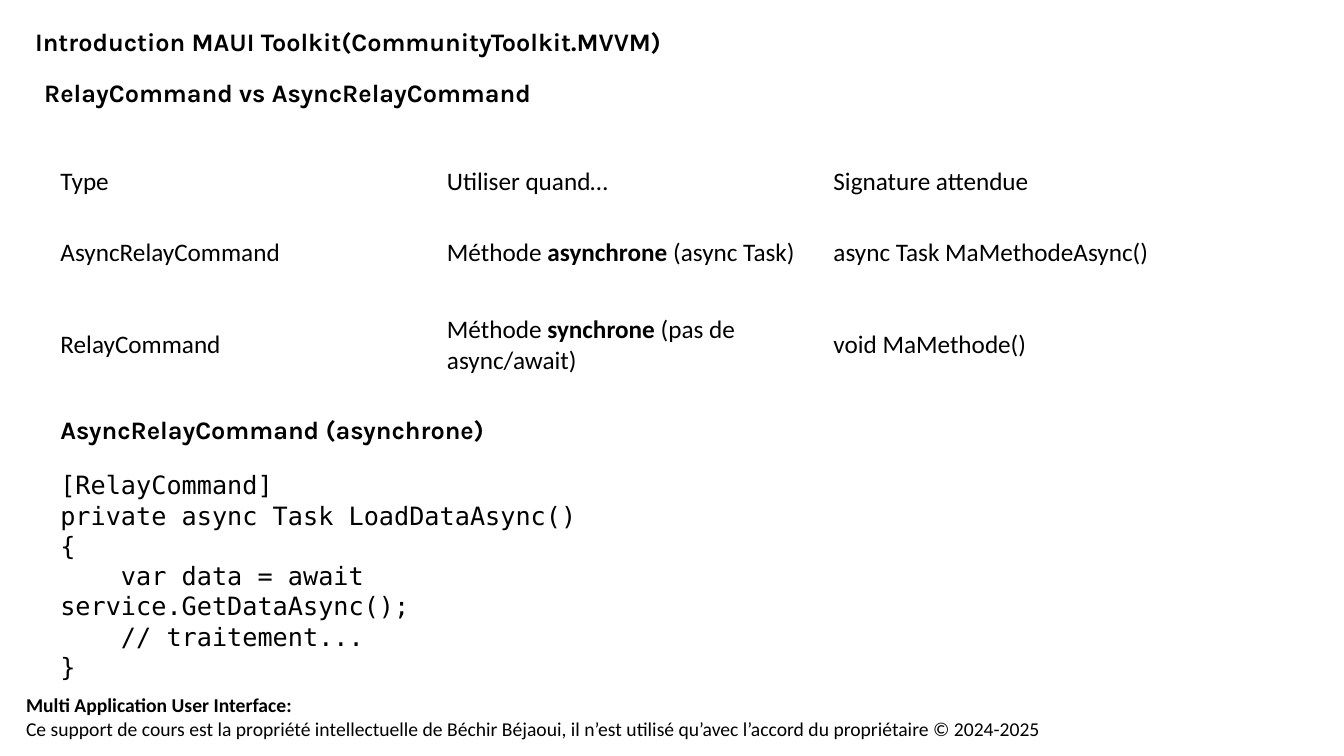
from pptx import Presentation
from pptx.dml.color import RGBColor
from pptx.enum.text import MSO_ANCHOR, MSO_AUTO_SIZE
from pptx.util import Inches, Pt

COLORS = {"ink": "000000"}
BODY, HEADING, CODE = "Calibri", "Karla", "DejaVu Sans Mono"

# Each paragraph is a list of (text, bold) runs.
FOOTER = [
    [("Multi Application User Interface:", True)],
    [("Ce support de cours est la propriété intellectuelle de Béchir Béjaoui, "
      "il n’est utilisé qu’avec l’accord du propriétaire © 2024-2025", False)],
]
TITLE = "Introduction MAUI Toolkit(CommunityToolkit.MVVM)"
# text, left, top, width
SUBTITLES = [
    ("RelayCommand vs AsyncRelayCommand", 0.34, 0.72, 5.07),
    ("AsyncRelayCommand (asynchrone)", 0.5, 4.06, 4.43),
]
CODE_LINES = [
    "[RelayCommand]",
    "private async Task LoadDataAsync()",
    "{",
    "    var data = await service.GetDataAsync();",
    "    // traitement...",
    "}",
]
# top, height, cells of each one-row table
COMPARISON = [
    (1.6, 0.4, [
        [("Type", False)],
        [("Utiliser quand…", False)],
        [("Signature attendue", False)],
    ]),
    (2.31, 0.4, [
        [("AsyncRelayCommand", False)],
        [("Méthode ", False), ("asynchrone", True), (" (async Task)", False)],
        [("async Task MaMethodeAsync()", False)],
    ]),
    (3.07, 0.7, [
        [("RelayCommand", False)],
        [("Méthode ", False), ("synchrone", True), (" (pas de async/await)", False)],
        [("void MaMethode()", False)],
    ]),
]
MARGIN, TABLE_WIDTH = 0.5, 11.5


def write(tf, paragraphs, font, size=18):
    for i, runs in enumerate(paragraphs):
        p = tf.add_paragraph() if i else tf.paragraphs[0]
        for text, bold in runs:
            r = p.add_run()
            r.text = text
            r.font.name = font
            r.font.size = Pt(size)
            r.font.bold = bold
            r.font.color.rgb = RGBColor.from_string(COLORS["ink"])


def add_text(s, box, paragraphs, font, size=18, wrap=True):
    tf = s.shapes.add_textbox(*map(Inches, box)).text_frame
    tf.word_wrap = wrap
    tf.auto_size = MSO_AUTO_SIZE.SHAPE_TO_FIT_TEXT
    tf.vertical_anchor = MSO_ANCHOR.TOP if wrap else MSO_ANCHOR.MIDDLE
    write(tf, paragraphs, font, size)


def add_comparison_row(s, top, height, cells):
    table = s.shapes.add_table(1, len(cells), Inches(MARGIN), Inches(top),
                               Inches(TABLE_WIDTH), Inches(height)).table
    table.first_row = table.horz_banding = False
    for cell, runs in zip(table.rows[0].cells, cells):
        cell.fill.background()
        cell.vertical_anchor = MSO_ANCHOR.MIDDLE
        write(cell.text_frame, [runs], BODY)


def main():
    prs = Presentation()
    prs.slide_width, prs.slide_height = Inches(13.33), Inches(7.5)
    s = prs.slides.add_slide(prs.slide_layouts[6])
    add_text(s, (0.16, 6.83, 13.17, 0.57), FOOTER, BODY, size=14)
    add_text(s, (0.25, 0.21, 10.81, 0.4), [[(TITLE, True)]], HEADING)
    for text, left, top, width in SUBTITLES:
        add_text(s, (left, top, width, 0.4), [[(text, True)]], HEADING, wrap=False)
    for top, height, cells in COMPARISON:
        add_comparison_row(s, top, height, cells)
    add_text(s, (MARGIN, 4.61, 6.67, 1.92),
             [[(line, False)] for line in CODE_LINES], CODE)
    prs.save("out.pptx")


if __name__ == "__main__":
    main()
